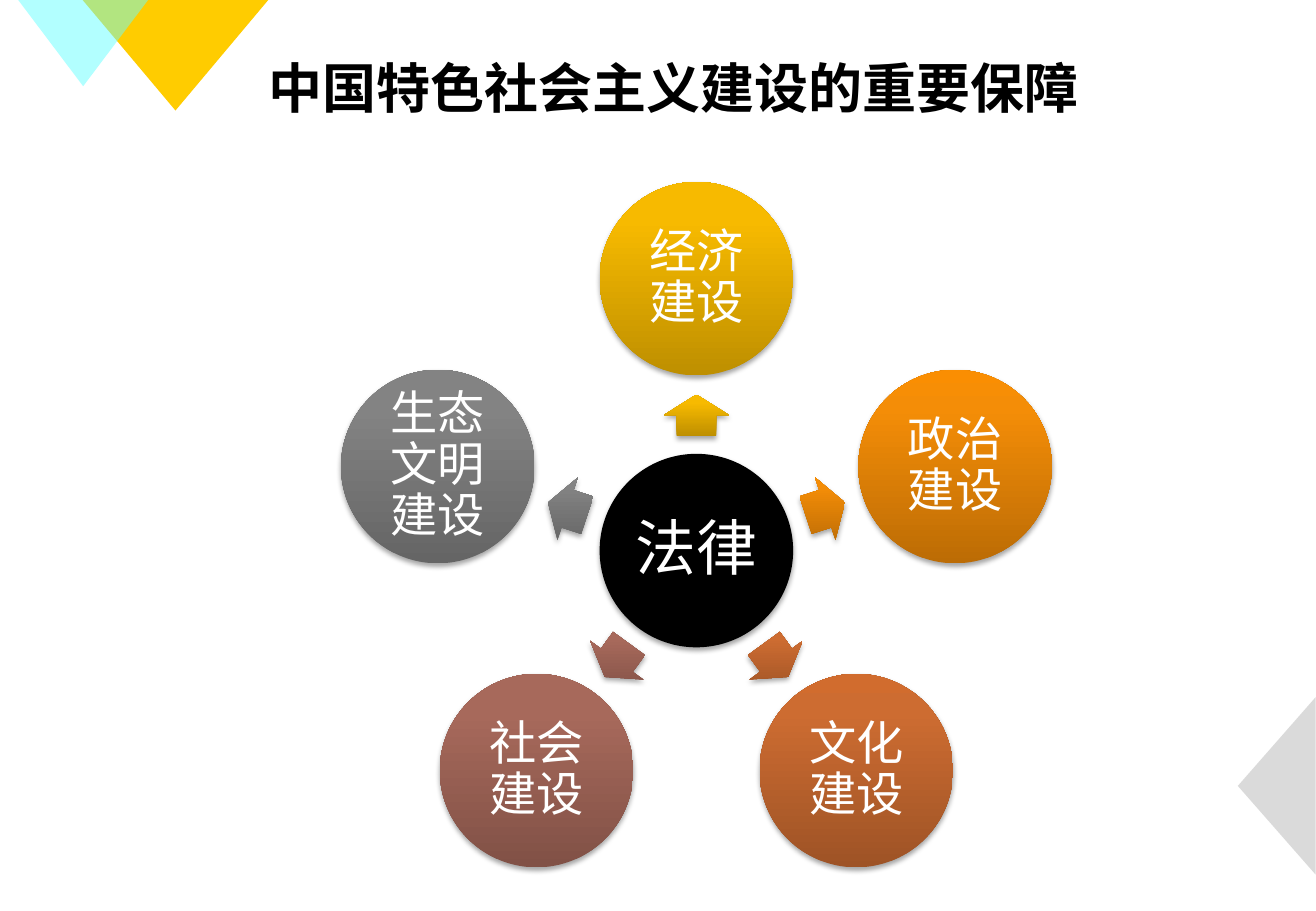
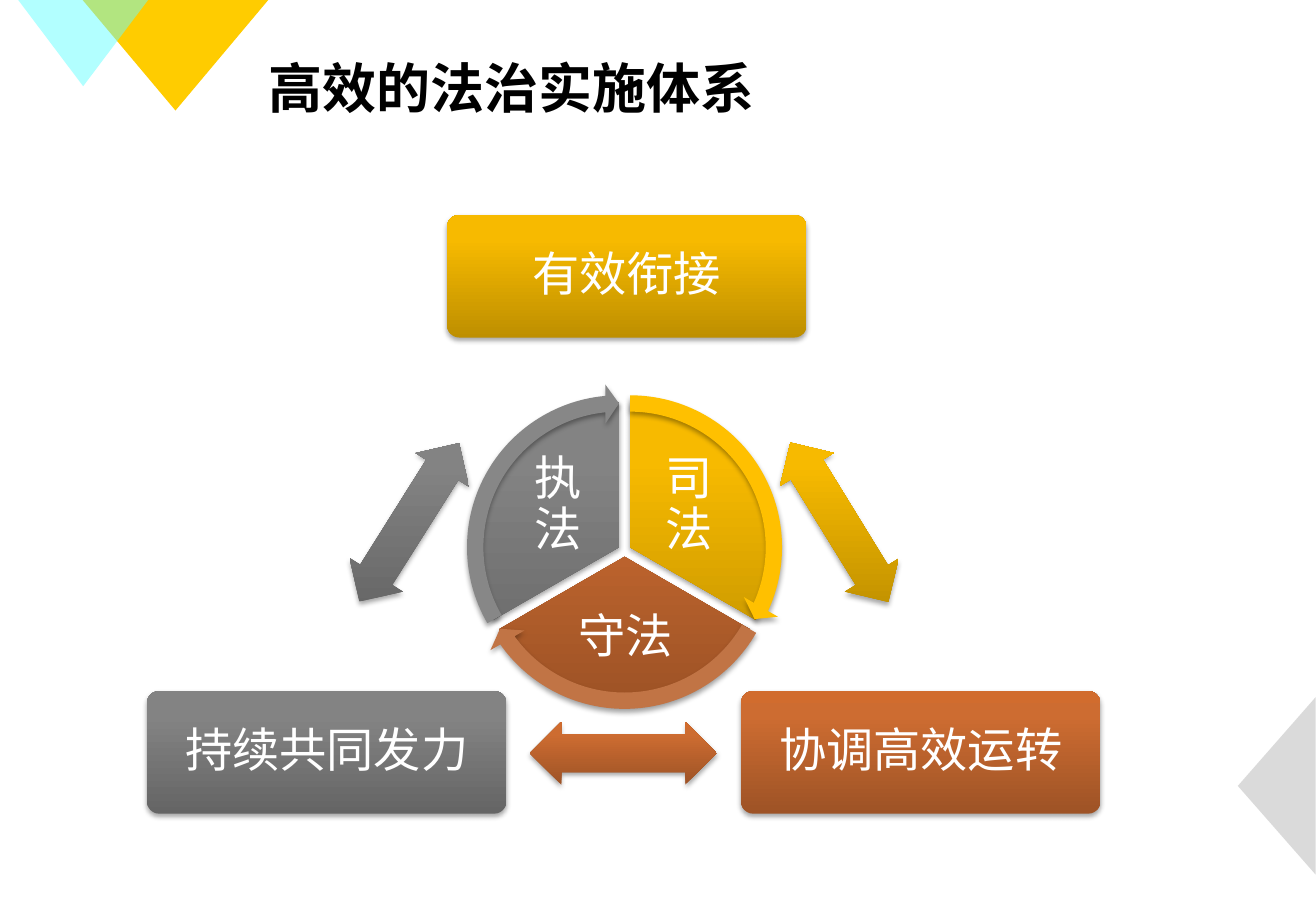
from dataclasses import dataclass
from math import cos, radians, sin

from lxml import etree
from pptx import Presentation
from pptx.dml.color import RGBColor
from pptx.enum.shapes import MSO_SHAPE
from pptx.enum.text import MSO_ANCHOR, PP_ALIGN
from pptx.oxml import parse_xml
from pptx.oxml.ns import nsdecls, qn
from pptx.shapes.autoshape import Shape
from pptx.slide import Slide
from pptx.util import Pt

TRIANGLE = MSO_SHAPE.ISOSCELES_TRIANGLE
ELLIPSE = MSO_SHAPE.OVAL
ARROW = MSO_SHAPE.RIGHT_ARROW
DOUBLE_ARROW = MSO_SHAPE.LEFT_RIGHT_ARROW
ROUNDED = MSO_SHAPE.ROUNDED_RECTANGLE
PIE = MSO_SHAPE.PIE
CIRCULAR_ARROW = MSO_SHAPE.CIRCULAR_ARROW
MIDDLE = MSO_ANCHOR.MIDDLE
CENTER = PP_ALIGN.CENTER
JUSTIFY = PP_ALIGN.JUSTIFY

CJK_FONT = "Noto Sans CJK SC"
LATIN_FONT = "Calibri"
COLORS = {
    "black": "000000",
    "white": "FFFFFF",
    "yellow": "FFCC00",
    "cyan": "66FFFF",
    "silver": "B7B7B7",
    "gold_arc": "FFC000",
    "rust_arc": "C17445",
    "gray_arc": "878787",
}
# Gradient stops at 0, 80 and 100 percent, running upwards
GRADIENTS = {
    "gold": ("BE8F00", "F7BA00", "F8BB00"),
    "orange": ("BC6C05", "F48D07", "FA8E02"),
    "rust": ("9E5326", "CD6C31", "D16C2E"),
    "brown": ("815146", "A7695B", "AA695A"),
    "gray": ("656565", "838383", "838383"),
}
STOPS = (0, 80, 100)
ARROW_SHAPE = (0.6, 0.5)


@dataclass
class Frame:
    left: float
    top: float
    width: float
    height: float
    rotation: float = 0


@dataclass
class Triangle:
    frame: Frame
    color: str
    opacity: int


@dataclass
class Node:
    text: str
    gradient: str


@dataclass
class Stage:
    text: str
    gradient: str
    box_left: float
    box_top: float
    arrow_x: float
    arrow_y: float
    arrow_rotation: float


@dataclass
class Sector:
    text: str
    gradient: str
    arc_color: str
    direction: float
    label: Frame


TRIANGLES = (
    Triangle(Frame(49, 0, 110, 65.5, 180), "yellow", 100),
    Triangle(Frame(10.8, 0, 77, 51.1, 180), "cyan", 50),
    Triangle(Frame(704.2, 442.8, 105.1, 46.1, 270), "silver", 50),
)
NODES = (
    Node("经济建设", "gold"),
    Node("政治建设", "orange"),
    Node("文化建设", "rust"),
    Node("社会建设", "brown"),
    Node("生态文明建设", "gray"),
)
STAGES = (
    Stage("有效衔接", "gold", 265, 127.4, 497.5, 309.6, 58.4),
    Stage("协调高效运转", "rust", 439.2, 409.6, 369.4, 446.4, 180),
    Stage("持续共同发力", "gray", 87.1, 409.6, 242.6, 309.6, 302.2),
)
SECTORS = (
    Sector("司法", "gold", "gold_arc", -30, Frame(378, 274.3, 61.2, 51.1)),
    Sector("守法", "rust", "rust_arc", 90, Frame(324.7, 355.7, 92.2, 45.4)),
    Sector("执法", "gray", "gray_arc", 210, Frame(300.2, 274.3, 61.2, 51.1)),
)


def centered(x: float, y: float, width: float, height: float, rotation: float = 0) -> Frame:
    return Frame(x - width / 2, y - height / 2, width, height, rotation)


def polar(center: tuple[float, float], radius: float, degrees: float) -> tuple[float, float]:
    """Point at a clockwise angle measured from the right."""
    angle = radians(degrees)
    return center[0] + radius * cos(angle), center[1] + radius * sin(angle)


def add_shape(page: Slide, kind: MSO_SHAPE, frame: Frame, fill: str,
              adjustments: tuple[float, ...] = (), shadow: bool = True) -> Shape:
    """Add a borderless shape filled with a named gradient or plain colour."""
    shape = page.shapes.add_shape(
        kind, Pt(frame.left), Pt(frame.top), Pt(frame.width), Pt(frame.height))
    shape.rotation = frame.rotation
    for index, value in enumerate(adjustments):
        shape.adjustments[index] = value
    shape.line.fill.background()
    if fill in GRADIENTS:
        fill_gradient(shape, GRADIENTS[fill])
    else:
        shape.fill.solid()
        shape.fill.fore_color.rgb = RGBColor.from_string(COLORS[fill])
    shape.shadow.inherit = False
    if shadow:
        add_shadow(shape)
    return shape


def fill_gradient(shape: Shape, colors: tuple[str, ...]) -> None:
    shape.fill.gradient()
    stops = "".join(
        f'<a:gs pos="{stop * 1000}"><a:srgbClr val="{color}"/></a:gs>'
        for stop, color in zip(STOPS, colors))
    properties = shape.element.spPr
    properties.replace(properties.find(qn("a:gradFill")), parse_xml(
        f'<a:gradFill {nsdecls("a")} rotWithShape="0"><a:gsLst>{stops}</a:gsLst>'
        '<a:lin ang="16200000" scaled="0"/></a:gradFill>'))


def add_shadow(shape: Shape) -> None:
    shape.element.spPr.find(qn("a:effectLst")).append(parse_xml(
        f'<a:outerShdw {nsdecls("a")} blurRad="{Pt(3.1)}" dist="{Pt(1.8)}" '
        'dir="5400000" rotWithShape="0"><a:srgbClr val="000000">'
        '<a:alpha val="35000"/></a:srgbClr></a:outerShdw>'))


def write(box: Shape, text: str, size: float = 28, inset: float = 3,
          font: str = CJK_FONT) -> None:
    """Write centred white text inside a shape or text box."""
    text_frame = box.text_frame
    text_frame.text = text
    text_frame.margin_left = text_frame.margin_right = Pt(inset)
    text_frame.margin_top = text_frame.margin_bottom = Pt(inset)
    text_frame.paragraphs[0].line_spacing = 0.9
    style_text(box, size, "white", CENTER, font)


def style_text(box: Shape, size: float, color: str, align: PP_ALIGN,
               font: str = CJK_FONT, bold: bool = False) -> None:
    box.text_frame.word_wrap = True
    box.text_frame.vertical_anchor = MIDDLE
    para = box.text_frame.paragraphs[0]
    para.alignment = align
    for span in para.runs:
        span.font.size = Pt(size)
        span.font.bold = bold
        span.font.color.rgb = RGBColor.from_string(COLORS[color])
        span.font.name = font
        etree.SubElement(span.font._element, qn("a:ea"), typeface=font)


def add_text_box(page: Slide, frame: Frame) -> Shape:
    return page.shapes.add_textbox(
        Pt(frame.left), Pt(frame.top), Pt(frame.width), Pt(frame.height))


def add_page(deck: Presentation, title: str) -> Slide:
    """Add a blank slide with the corner triangles and a title."""
    page = deck.slides.add_slide(deck.slide_layouts[6])
    for triangle in TRIANGLES:
        shape = add_shape(page, TRIANGLE, triangle.frame, triangle.color, shadow=False)
        if triangle.opacity < 100:
            color = shape.element.spPr.find(qn("a:solidFill"))[0]
            etree.SubElement(color, qn("a:alpha"), val=str(triangle.opacity * 1000))
    box = add_text_box(page, Frame(152, 26, 561, 51))
    box.text_frame.text = title
    style_text(box, 32, "black", JUSTIFY, bold=True)
    return page


def draw_radial_diagram(page: Slide) -> None:
    hub = (412.8, 326.4)
    diameter = 114.7
    center = add_shape(page, ELLIPSE, centered(*hub, diameter, diameter), "black")
    write(center, "法律", 36, font=LATIN_FONT)
    for index, node in enumerate(NODES):
        angle = index * 360 / len(NODES) - 90
        arrow = centered(*polar(hub, 80.3, angle), 24.5, 39, angle % 360)
        add_shape(page, ARROW, arrow, node.gradient, ARROW_SHAPE)
        circle = centered(*polar(hub, 161.2, angle), diameter, diameter)
        write(add_shape(page, ELLIPSE, circle, node.gradient), node.text)


def draw_stages(page: Slide) -> None:
    for stage in STAGES:
        box = Frame(stage.box_left, stage.box_top, 213.1, 72.7)
        write(add_shape(page, ROUNDED, box, stage.gradient, (0.1,)), stage.text, inset=8.5)
        arrow = centered(stage.arrow_x, stage.arrow_y, 110.9, 37.4, stage.arrow_rotation)
        add_shape(page, DOUBLE_ARROW, arrow, stage.gradient, ARROW_SHAPE)


def draw_cycle(page: Slide) -> None:
    """Draw three sectors pushed out from one centre, then their arc arrows."""
    hub = (370.2, 326.3)
    push = 3.8
    angle_unit = 0.6  # adjustment value of one degree
    head = 3.28
    arcs = []
    for sector in SECTORS:
        center = polar(hub, push, sector.direction)
        start = (sector.direction - 60) % 360 * angle_unit
        end = (sector.direction + 60) % 360 * angle_unit
        add_shape(page, PIE, centered(*center, 172, 172), sector.gradient, (start, end))
        write(add_text_box(page, sector.label), sector.text)
        arcs.append((centered(*center, 193.7, 193.7), sector.arc_color,
                     (0.05, head, end - head, start, 0.06)))
    for frame, color, adjustments in arcs:
        add_shape(page, CIRCULAR_ARROW, frame, color, adjustments)


def main() -> None:
    deck = Presentation()
    deck.slide_width, deck.slide_height = Pt(780), Pt(540)
    draw_radial_diagram(add_page(deck, "中国特色社会主义建设的重要保障"))
    page = add_page(deck, "高效的法治实施体系")
    draw_stages(page)
    draw_cycle(page)
    deck.save("out.pptx")


if __name__ == "__main__":
    main()
